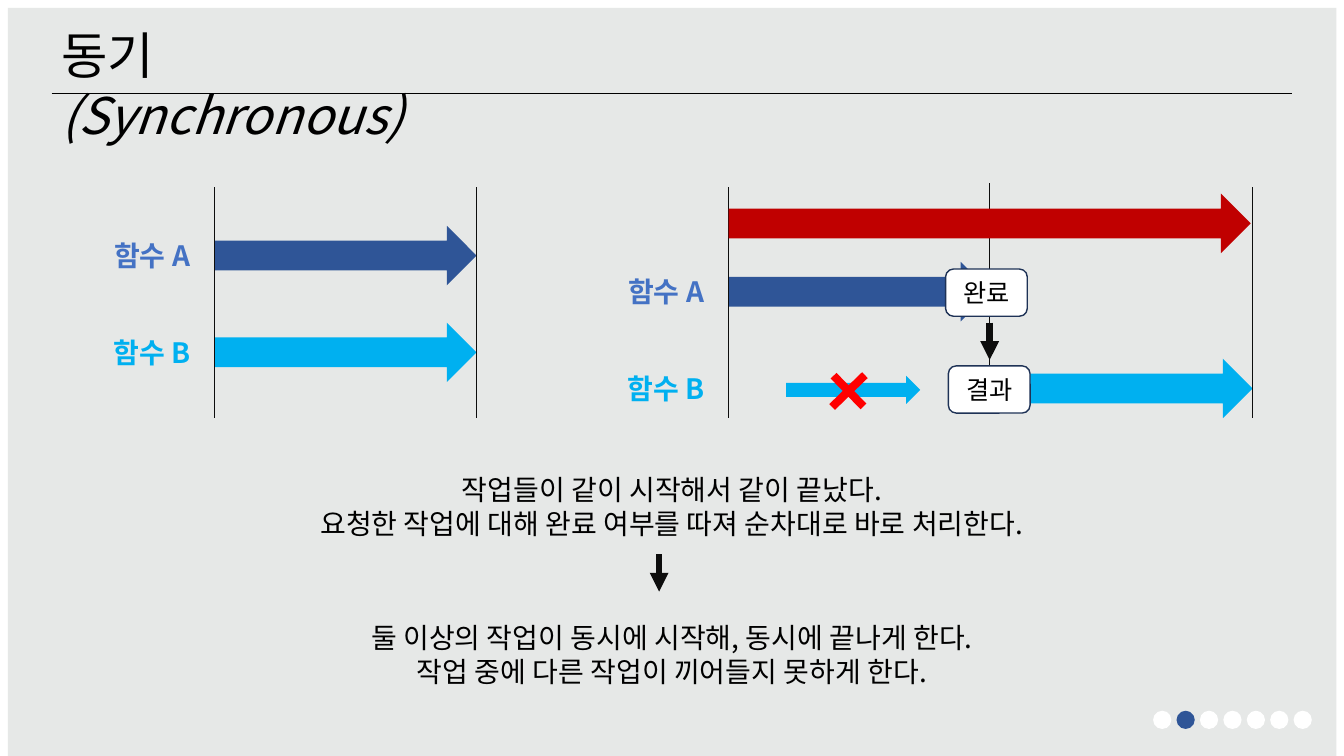
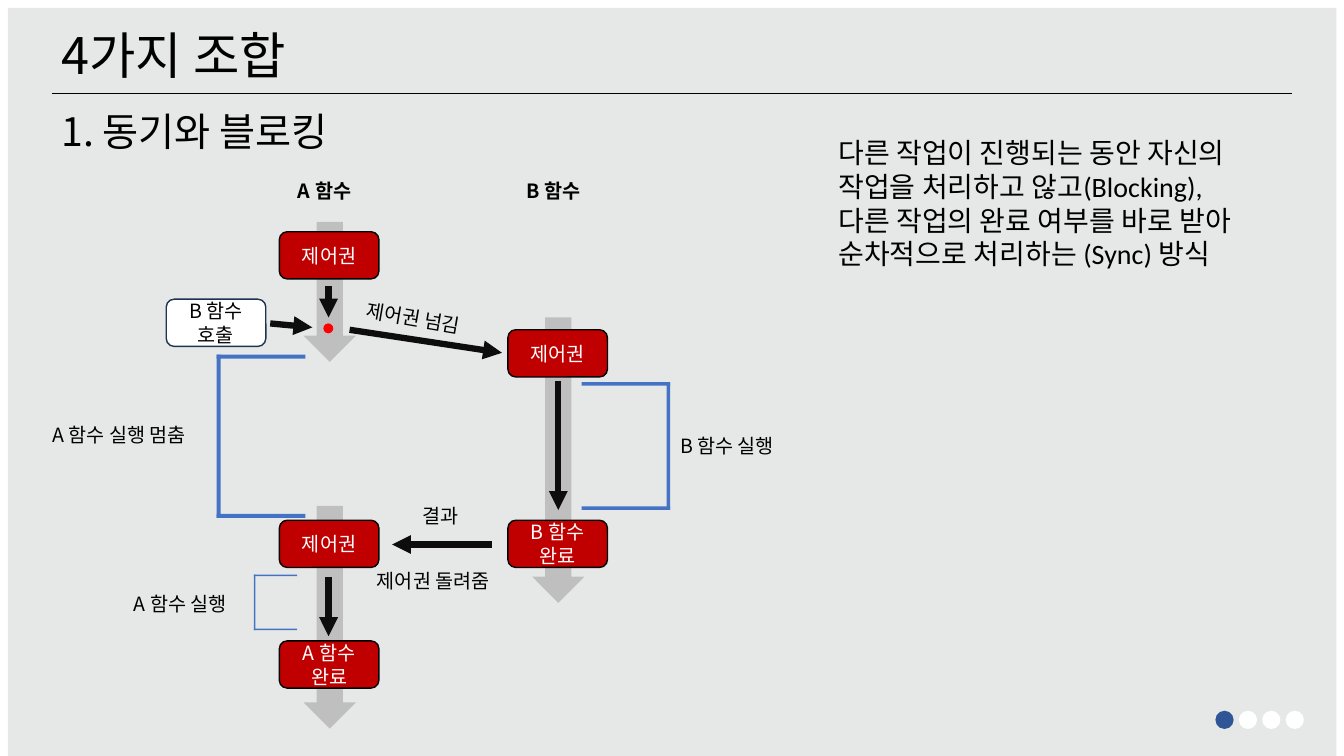
from lxml import etree
from pptx import Presentation
from pptx import util as u
from pptx.dml.color import RGBColor
from pptx.enum import shapes as es, text as et
from pptx.oxml.ns import qn

COLORS = {
    "panel": "E6E8E7", "black": "000000", "ink": "0D0D0D", "white": "FFFFFF",
    "navy": "2F5597", "blue": "4472C4", "sky": "00B0F0", "red": "C00000",
    "alert": "FF0000", "grey": "BFBFBF", "outline": "1E3256",
}
FONT = "Noto Sans CJK KR"
KIND = es.MSO_SHAPE
LEFT, CENTER = et.PP_ALIGN.LEFT, et.PP_ALIGN.CENTER

# Content of slide 1 (lengths in cm)
SYNC_TITLE = ["동기", "(Synchronous)"]
SYNC_NOTES = [
    (11.79, ["작업들이 같이 시작해서 같이 끝났다.",
             "요청한 작업에 대해 완료 여부를 따져 순차대로 바로 처리한다."]),
    (15.52, ["둘 이상의 작업이 동시에 시작해, 동시에 끝나게 한다.",
             "작업 중에 다른 작업이 끼어들지 못하게 한다."]),
]
# Each timeline: left edge, top of the first row, start of B, end line
TIMELINES = [(5.41, 5.69, 5.41, 12.01), (18.36, 6.6, 24.97, 31.56)]
FUNCTIONS = [("함수 A", "navy", "blue"), ("함수 B", "sky", "sky")]
ROW_GAP, ARROW_W, ARROW_H = 2.44, 6.6, 1.5
STATES = [("완료", 23.83, 6.78), ("결과", 23.9, 9.22)]
SYNC_ARROWS = [(16.61, 13.97, 16.61, 14.91), (24.94, 8.13, 24.94, 9.07)]

# Content of slide 2
COMBO_TITLE = ["4가지 조합"]
COMBO_HEADING = "1. 동기와 블로킹"
COMBO_NOTE = ["다른 작업이 진행되는 동안 자신의 작업을 처리하고 않고(Blocking),",
              "다른 작업의 완료 여부를 바로 받아 순차적으로 처리하는 (Sync) 방식"]
A_X, B_X = 7.04, 12.8
LIFELINES = [(7.65, 12.75, 5.61), (7.65, 5.59, 3.53), (13.41, 8, 7.19)]
STEPS = [
    ("제어권", A_X, 5.84), ("제어권", B_X, 8.31), ("B 함수 완료", B_X, 13.11),
    ("제어권", A_X, 13.11), ("A 함수 완료", A_X, 16.15),
]
CALL = ("B 함수 호출", 4.19, 7.54)
FLOW_ARROWS = [
    (6.81, 8.15, 7.87, 8.25), (8.81, 8.31, 12.65, 8.89),
    (14.07, 9.6, 14.07, 12.85), (12.4, 13.72, 9.88, 13.72),
    (8.28, 7.21, 8.28, 8), (8.28, 14.53, 8.28, 16.03),
]
COLUMN_HEADS = [("A 함수", 7.26), ("B 함수", 13.03)]
# Text, left, top, width, rotation
FLOW_LABELS = [
    ("제어권 넘김", 8.97, 7.62, 3.4, 9.7), ("B 함수 실행", 16.89, 10.82, 3.3, 0),
    ("A 함수 실행 멈춤", 1.07, 10.52, 4.67, 0), ("제어권 돌려줌", 9.25, 14.2, 3.91, 0),
    ("A 함수 실행", 3.12, 14.78, 3.53, 0), ("결과", 10.4, 12.57, 1.93, 0),
]
# Left, right, top, bottom, thickness, side of the spine
BRACKETS = [
    (5.46, 7.7, 8.94, 13.05, 0.1, "left"),
    (14.66, 16.89, 9.63, 12.85, 0.09, "right"),
    (6.4, 7.49, 14.48, 15.88, 0.04, "left"),
]


def rgb(color):
    return RGBColor.from_string(COLORS[color])


def write(frame, lines, size, color="black", align=LEFT, bold=None, latin=FONT):
    """Fill a frame, one paragraph per line."""
    frame.word_wrap = True
    for i, line in enumerate(lines):
        para = frame.paragraphs[0] if i == 0 else frame.add_paragraph()
        para.add_run().text = line
        style(para, size, color, align, bold, latin)


def style(para, size, color="black", align=LEFT, bold=None, latin=FONT):
    para.alignment = align
    para.line_spacing = u.Pt(size * 1.2)
    font = para.font
    font.size, font.bold, font.name = u.Pt(size), bold, latin
    font.color.rgb = rgb(color)
    defaults = para._p.pPr.find(qn("a:defRPr"))
    etree.SubElement(defaults, qn("a:ea")).set("typeface", FONT)


def add_text(slide, lines, x, y, w, h, size, **look):
    box = slide.shapes.add_textbox(u.Cm(x), u.Cm(y), u.Cm(w), u.Cm(h))
    write(box.text_frame, lines, size, **look)
    return box


def add_block(slide, kind, x, y, w, h, fill, outline=None):
    block = slide.shapes.add_shape(kind, u.Cm(x), u.Cm(y), u.Cm(w), u.Cm(h))
    block.shadow.inherit = False
    block.fill.solid()
    block.fill.fore_color.rgb = rgb(fill)
    if outline:
        block.line.color.rgb = rgb(outline)
        block.line.width = u.Pt(1)
    else:
        block.line.fill.background()
    return block


def add_box(slide, label, x, y, w, size, fill="white", outline="outline", color="black"):
    box = add_block(slide, KIND.ROUNDED_RECTANGLE, x, y, w, 1.19, fill, outline)
    box.text_frame.vertical_anchor = et.MSO_ANCHOR.MIDDLE
    write(box.text_frame, [label], size, color, CENTER)


def add_line(slide, x1, y1, x2, y2, width=0.75, color="ink", arrow=False):
    line = slide.shapes.add_connector(
        es.MSO_CONNECTOR.STRAIGHT, u.Cm(x1), u.Cm(y1), u.Cm(x2), u.Cm(y2))
    line.line.color.rgb = rgb(color)
    line.line.width = u.Pt(width)
    if arrow:
        etree.SubElement(line.line._get_or_add_ln(), qn("a:tailEnd")).set("type", "triangle")
    etree.SubElement(line._element.spPr, qn("a:effectLst"))


def add_arrows(slide, arrows):
    for ends in arrows:
        add_line(slide, *ends, width=4.5, arrow=True)


def add_bracket(slide, left, right, top, bottom, thick, side):
    spine = left if side == "left" else right - thick
    bars = [(left, top, right - left, thick),
            (left, bottom - thick, right - left, thick),
            (spine, top, thick, bottom - top)]
    for bar in bars:
        add_block(slide, KIND.RECTANGLE, *bar, "blue")


def add_page(prs, title, dots_x, dot_count, active):
    """Background panel, title with rule, and progress dots."""
    slide = prs.slides.add_slide(prs.slide_layouts[6])
    add_block(slide, KIND.RECTANGLE, 0.2, 0.2, 33.48, 18.85, "panel")
    heading = add_text(slide, title[:1], 1.3, 0.48, 11.71, 1.8, 36)
    para = heading.text_frame.paragraphs[0]
    for extra in title[1:]:
        para.add_line_break()
        run = para.add_run()
        run.text = extra
        run.font.italic = True
    add_line(slide, 1.3, 2.36, 32.56, 2.36, 0.5, "black")
    for i in range(dot_count):
        add_block(slide, KIND.OVAL, dots_x + i * 0.59, 17.91, 0.46, 0.46,
                  "navy" if i == active else "white")
    return slide


def build_sync(prs):
    slide = add_page(prs, SYNC_TITLE, 29.06, 7, 1)
    for top, lines in SYNC_NOTES:
        add_text(slide, lines, 5.49, top, 22.89, 1.96, 20, align=CENTER)

    # Timelines
    for left, top, b_start, end in TIMELINES:
        for row, (name, fill, color) in enumerate(FUNCTIONS):
            y = top + row * ROW_GAP
            add_block(slide, KIND.RIGHT_ARROW, b_start if row else left, y,
                      ARROW_W, ARROW_H, fill)
            add_text(slide, [name], left - 3.1, y + 0.2, 3.05, 1.12, 20,
                     color=color, align=CENTER, bold=True)
        for x in (left, end):
            add_line(slide, x, 4.72, x, 10.54)
    add_line(slide, 24.94, 4.62, 24.94, 10.44)
    add_block(slide, KIND.RIGHT_ARROW, 18.36, 4.88, 13.16, ARROW_H, "red")

    # Completion, result and the blocked start of B
    for label, x, y in STATES:
        add_box(slide, label, x, y, 2.06, 18)
    add_arrows(slide, SYNC_ARROWS)
    add_block(slide, KIND.RIGHT_ARROW, 19.81, 9.47, 3.38, 0.71, "sky")
    cross = add_block(slide, KIND.MATH_PLUS, 20.6, 9.12, 1.57, 1.47, "alert")
    cross.adjustments[0] = 0.14
    cross.rotation = 315.8


def build_combo(prs):
    slide = add_page(prs, COMBO_TITLE, 30.63, 4, 0)
    add_text(slide, [COMBO_HEADING], 1.3, 2.57, 7.98, 1.45, 28)
    add_text(slide, COMBO_NOTE, 20.88, 3.3, 11.68, 3.68, 20, latin="Calibri")

    # Lifelines and steps
    for x, y, h in LIFELINES:
        add_block(slide, KIND.DOWN_ARROW, x, y, 1.32, h, "grey")
    for label, x, y in STEPS:
        add_box(slide, label, x, y, 2.51, 14, "red", "black", "white")
    add_box(slide, *CALL, 2.51, 14)
    add_arrows(slide, FLOW_ARROWS)
    add_block(slide, KIND.OVAL, 8.15, 8.15, 0.25, 0.25, "alert")

    # Brackets and labels
    for bracket in BRACKETS:
        add_bracket(slide, *bracket)
    for name, x in COLUMN_HEADS:
        add_text(slide, [name], x, 4.39, 2.59, 0.86, 14, bold=True)
    for label, x, y, w, angle in FLOW_LABELS:
        add_text(slide, [label], x, y, w, 0.86, 14).rotation = angle


def main():
    prs = Presentation()
    prs.slide_width, prs.slide_height = u.Cm(33.87), u.Cm(19.05)
    build_sync(prs)
    build_combo(prs)
    prs.save("out.pptx")


if __name__ == "__main__":
    main()
